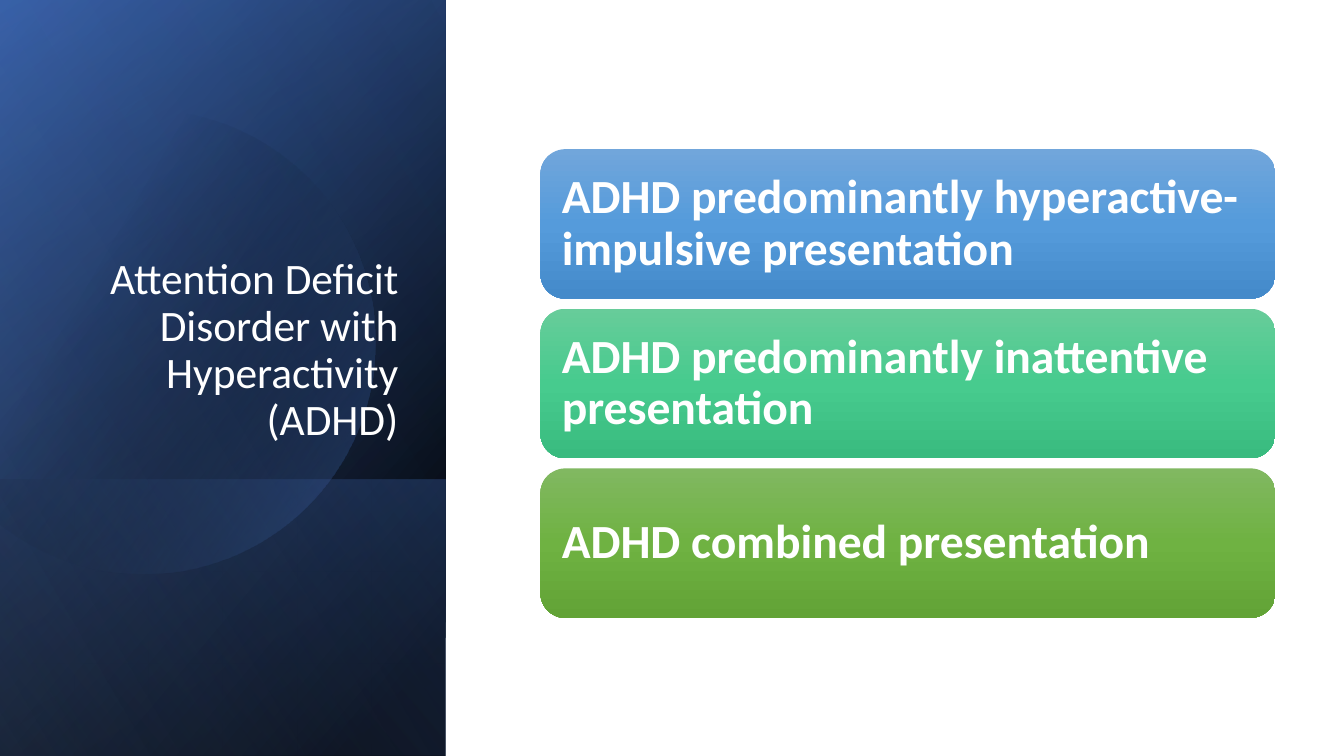
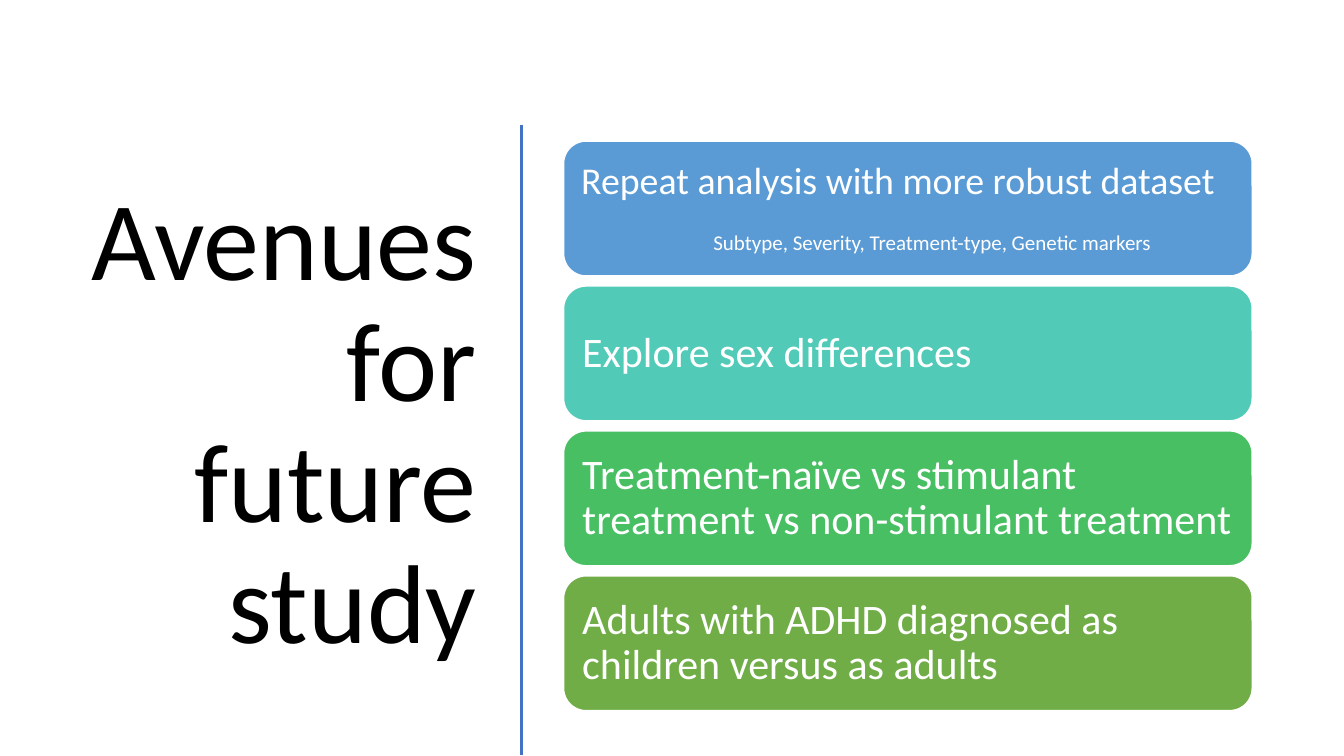
from dataclasses import dataclass
from math import acos, cos, sin

from lxml.etree import SubElement
from pptx import Presentation
from pptx.dml.color import RGBColor
from pptx.enum.shapes import MSO_CONNECTOR as Connector, MSO_SHAPE as Preset
from pptx.enum.text import MSO_ANCHOR as Anchor, MSO_AUTO_SIZE as AutoSize, PP_ALIGN as Align
from pptx.oxml.ns import qn
from pptx.util import Inches, Pt


@dataclass(frozen=True)
class Theme:
    font: str = "Calibri"
    white: str = "FFFFFF"
    black: str = "000000"
    accent: str = "4472C4"
    navy: str = "2F5597"
    sky: str = "8FAADC"
    panel_title: int = 31
    large_title: int = 80
    strong: int = 34
    plain: int = 30
    lead: int = 27
    detail: int = 15
    line_spacing: float = 0.9
    block_gap: float = 0.1


@dataclass(frozen=True)
class Box:
    left: float
    top: float
    width: float
    height: float

    def inches(self):
        return [Inches(side) for side in (self.left, self.top, self.width, self.height)]

    def turned(self):
        shift = (self.width - self.height) / 2
        return Box(self.left + shift, self.top - shift, self.height, self.width)

    def rows(self, count, gap):
        height = (self.height - gap * (count - 1)) / count
        return [Box(self.left, self.top + row * (height + gap), self.width, height)
                for row in range(count)]


@dataclass(frozen=True)
class Gradient:
    angle: int
    stops: tuple


@dataclass(frozen=True)
class Block:
    fill: object
    text: str
    size: int
    inset: float
    bold: bool = False
    outline: bool = False
    detail: str = ""


THEME = Theme()
PANEL = Box(0, 0, 4.42, 7.5)
PANEL_BAND = Box(0, 4.76, 4.42, 2.74)
PANEL_GRADIENTS = (
    (PANEL, Gradient(50, ((8, THEME.black, 100), (100, THEME.navy, 100)))),
    (PANEL, Gradient(30, ((0, THEME.black, 0), (99, THEME.accent, 46)))),
    (PANEL_BAND, Gradient(130, ((2, THEME.accent, 29), (100, THEME.black, 30)))),
)
CIRCLE_GRADIENT = Gradient(30, ((29, THEME.black, 0), (100, THEME.accent, 43)))
SHEEN_GRADIENT = Gradient(120, ((0, THEME.black, 0), (99, THEME.sky, 11)))


def paint(shape, fill, outline=False):
    shape.shadow.inherit = False
    shape.fill.solid()
    if isinstance(fill, Gradient):
        properties = shape._element.spPr
        solid = properties.find(qn("a:solidFill"))
        gradient = SubElement(properties, qn("a:gradFill"), rotWithShape="1")
        properties.replace(solid, gradient)
        stop_list = SubElement(gradient, qn("a:gsLst"))
        for position, color, opacity in fill.stops:
            stop = SubElement(stop_list, qn("a:gs"), pos=str(position * 1000))
            tone = SubElement(stop, qn("a:srgbClr"), val=color)
            if opacity < 100:
                SubElement(tone, qn("a:alpha"), val=str(opacity * 1000))
        SubElement(gradient, qn("a:lin"), ang=str(fill.angle * 60000), scaled="0")
    else:
        shape.fill.fore_color.rgb = RGBColor.from_string(fill)
    if outline:
        shape.line.color.rgb = RGBColor.from_string(THEME.white)
        shape.line.width = Pt(1)
    else:
        shape.line.fill.background()


def format_para(para, size, color, align=Align.LEFT, bold=False):
    para.alignment = align
    para.line_spacing = THEME.line_spacing
    for span in para.runs:
        span.font.name = THEME.font
        span.font.size = Pt(size)
        span.font.bold = bold
        span.font.color.rgb = RGBColor.from_string(color)


def add_title(page, box, text, size, color, anchor):
    title = page.shapes.title
    title.left, title.top, title.width, title.height = box.inches()
    frame = title.text_frame
    frame.text = text
    frame.word_wrap = True
    frame.auto_size = AutoSize.NONE
    frame.vertical_anchor = anchor
    format_para(frame.paragraphs[0], size, color, Align.RIGHT)
    page.shapes._spTree.append(title._element)


def add_turned_layer(page, box, gradient):
    layer = page.shapes.add_shape(Preset.RECTANGLE, *box.turned().inches())
    layer.rotation = 90
    layer._element.spPr.xfrm.set("flipH", "1")
    paint(layer, gradient)


def add_clipped_circle(page, box):
    center_x, center_y, radius = box.left + 1.42, box.top + 3.39, 2.3
    limit = acos((box.left - center_x) / radius)
    steps = 90
    angles = [limit * (2 * step / steps - 1) for step in range(steps + 1)]
    points = [(Inches(center_x + radius * cos(angle)), Inches(center_y + radius * sin(angle)))
              for angle in angles]
    builder = page.shapes.build_freeform(*points[0])
    builder.add_line_segments(points[1:], close=True)
    paint(builder.convert_to_shape(), CIRCLE_GRADIENT)


def add_panel(page, box):
    for layer_box, gradient in PANEL_GRADIENTS:
        add_turned_layer(page, layer_box, gradient)
    add_clipped_circle(page, box)
    add_turned_layer(page, box, SHEEN_GRADIENT)


def add_block(page, box, block):
    shape = page.shapes.add_shape(Preset.ROUNDED_RECTANGLE, *box.inches())
    paint(shape, block.fill, block.outline)
    frame = shape.text_frame
    frame.word_wrap = True
    frame.vertical_anchor = Anchor.MIDDLE
    frame.margin_left = frame.margin_right = Inches(block.inset)
    frame.margin_top = frame.margin_bottom = Inches(block.inset)
    frame.text = block.text
    format_para(frame.paragraphs[0], block.size, THEME.white, bold=block.bold)
    if block.detail:
        para = frame.add_paragraph()
        para.text = block.detail
        para.space_before = Pt(21)
        para._p.get_or_add_pPr().set("marL", str(Inches(1.31)))
        format_para(para, THEME.detail, THEME.white)


def add_stack(page, box, blocks):
    for row, block in zip(box.rows(len(blocks), THEME.block_gap), blocks):
        add_block(page, row, block)


def add_divider(page, x, top, bottom):
    divider = page.shapes.add_connector(
        Connector.STRAIGHT, Inches(x), Inches(top), Inches(x), Inches(bottom))
    divider.line.color.rgb = RGBColor.from_string(THEME.accent)
    divider.line.width = Pt(2)
    SubElement(divider._element.spPr, qn("a:effectLst"))


def build_presentations(page):
    add_panel(page, PANEL)
    add_title(page, Box(0.64, 1.84, 3.41, 2.62),
              "Attention Deficit Disorder with Hyperactivity (ADHD)",
              THEME.panel_title, THEME.white, Anchor.BOTTOM)
    presentations = (
        ("ADHD predominantly hyperactive-impulsive presentation", ("71A6DB", "559BDB", "448ACA")),
        ("ADHD predominantly inattentive presentation", ("67CC9A", "47CB8E", "39BB7F")),
        ("ADHD combined presentation", ("81B861", "6FB242", "62A336")),
    )
    blocks = []
    for text, colors in presentations:
        stops = tuple((50 * index, color, 100) for index, color in enumerate(colors))
        blocks.append(Block(Gradient(90, stops), text, THEME.strong, 0.14, bold=True))
    add_stack(page, Box(5.36, 1.48, 7.29, 4.65), blocks)


def build_avenues(page):
    add_title(page, Box(0.52, 1.17, 4.31, 6.11), "Avenues for future study",
              THEME.large_title, THEME.black, Anchor.MIDDLE)
    add_divider(page, 5.17, 1.24, 7.49)
    avenues = (
        ("52CAB8", "Explore sex differences"),
        ("49BF64", "Treatment-naïve vs stimulant treatment vs non-stimulant treatment"),
        ("70AD47", "Adults with ADHD diagnosed as children versus as adults"),
    )
    blocks = [Block("5B9BD5", "Repeat analysis with more robust dataset", THEME.lead, 0.11,
                    outline=True, detail="Subtype, Severity, Treatment-type, Genetic markers")]
    blocks += [Block(color, text, THEME.plain, 0.12, outline=True) for color, text in avenues]
    add_stack(page, Box(5.59, 1.4, 6.83, 5.65), blocks)


def main():
    deck = Presentation()
    deck.slide_width, deck.slide_height = Inches(13.33), Inches(7.5)
    for build in (build_presentations, build_avenues):
        build(deck.slides.add_slide(deck.slide_layouts[5]))
    deck.save("out.pptx")


if __name__ == "__main__":
    main()
